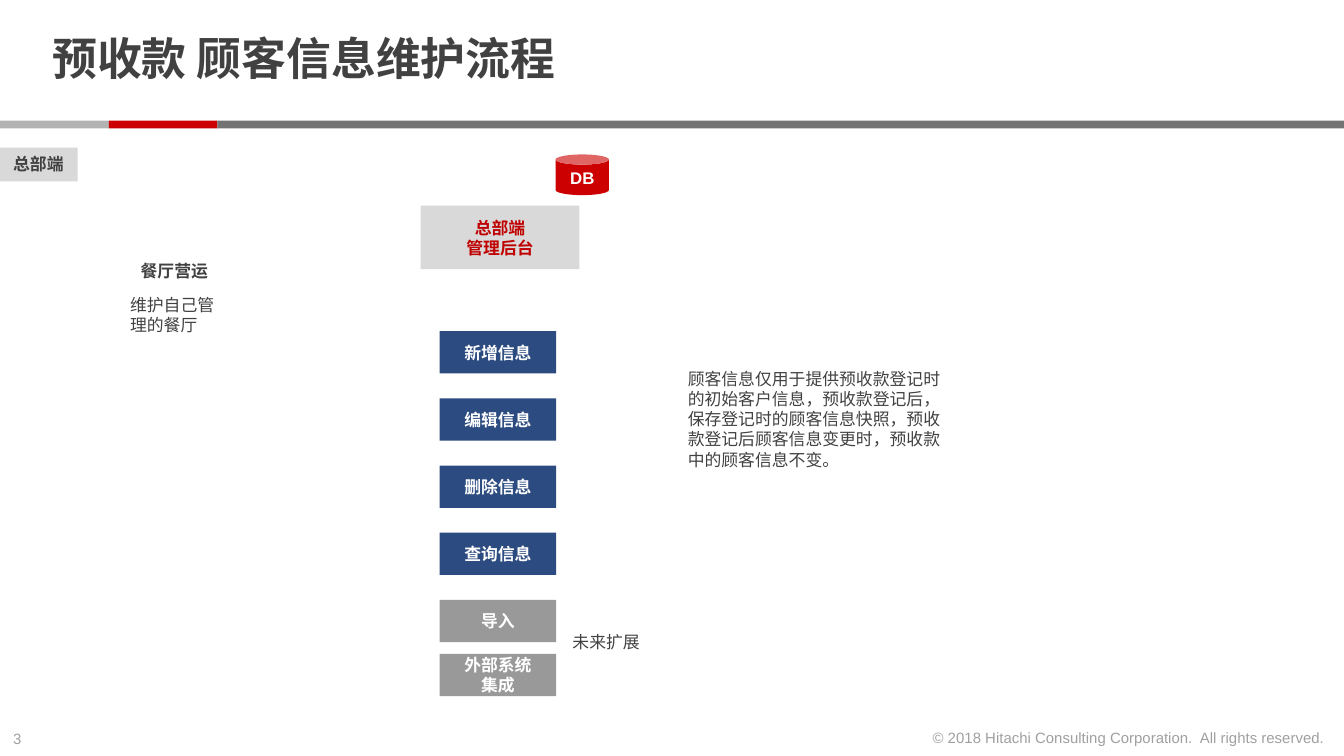
from lxml.etree import SubElement
from pptx import Presentation
from pptx.dml.color import RGBColor
from pptx.enum.shapes import MSO_SHAPE
from pptx.enum.text import MSO_ANCHOR, PP_ALIGN
from pptx.oxml.ns import qn
from pptx.util import Cm, Pt

COLORS = {
    "text": "414141", "white": "FFFFFF", "red": "CC0000", "dark red": "C00000",
    "blue": "2C4B80", "gray": "999999", "panel": "D9D9D9",
    "light bar": "B3B3B3", "dark bar": "737373",
}
CJK_FONT = "Noto Sans CJK SC"

TITLE = "预收款 顾客信息维护流程"
PAGE_NUMBER = "3"
COPYRIGHT = "© 2018 Hitachi Consulting Corporation.  All rights reserved."

# width, color
BAR_SEGMENTS = [(2.06, "light bar"), (2.05, "red"), (21.29, "dark bar")]

# text, box, bold, wrap
NOTES = [
    ("餐厅营运", (2.41, 4.8, 1.8, 0.64), True, False),
    ("维护自己管理的餐厅", (2.21, 5.45, 2.16, 1.02), False, True),
    ("顾客信息仅用于提供预收款登记时的初始客户信息，预收款登记后，"
     "保存登记时的顾客信息快照，预收款登记后顾客信息变更时，"
     "预收款中的顾客信息不变。", (12.75, 6.84, 5.44, 2.18), False, True),
    ("未来扩展", (10.57, 11.81, 1.88, 0.64), False, True),
]

# lines, color, distance from the previous button's top
BUTTONS = [
    (["新增信息"], "blue", 0),
    (["编辑信息"], "blue", 1.27),
    (["删除信息"], "blue", 1.27),
    (["查询信息"], "blue", 1.27),
    (["导入"], "gray", 1.27),
    (["外部系统", "集成"], "gray", 1.02),
]
BUTTON_LEFT, BUTTON_TOP, BUTTON_WIDTH, BUTTON_HEIGHT = 8.31, 6.26, 2.2, 0.8


def write(shape, lines, size=9, color="text", bold=False, font="Arial",
          align=PP_ALIGN.LEFT, anchor=MSO_ANCHOR.TOP, wrap=True, alpha=None):
    frame = shape.text_frame
    frame.word_wrap = wrap
    frame.vertical_anchor = anchor
    frame.text = "\n".join(lines)
    for paragraph in frame.paragraphs:
        paragraph.alignment = align
        paragraph.font.size = Pt(size)
        paragraph.font.bold = bold
        paragraph.font.name = font
        paragraph.font.color.rgb = RGBColor.from_string(COLORS[color])
        properties = paragraph._p.pPr.find(qn("a:defRPr"))
        SubElement(properties, qn("a:ea"), typeface=CJK_FONT)
        if alpha:
            rgb = properties.find(".//" + qn("a:srgbClr"))
            SubElement(rgb, qn("a:alpha"), val=str(alpha * 1000))
    return frame


def add_text(slide, box, lines, **style):
    return write(slide.shapes.add_textbox(*map(Cm, box)), lines, **style)


def add_filled(slide, box, color, kind=MSO_SHAPE.RECTANGLE):
    shape = slide.shapes.add_shape(kind, *map(Cm, box))
    shape.shadow.inherit = False
    shape.fill.solid()
    shape.fill.fore_color.rgb = RGBColor.from_string(COLORS[color])
    shape.line.fill.background()
    return shape


def main():
    presentation = Presentation()
    presentation.slide_width, presentation.slide_height = Cm(25.4), Cm(14.29)
    slide = presentation.slides.add_slide(presentation.slide_layouts[6])
    centered = {"align": PP_ALIGN.CENTER, "anchor": MSO_ANCHOR.MIDDLE, "bold": True}

    footer = {"size": 8, "alpha": 50, "wrap": False}
    add_text(slide, (0, 13.66, 0.86, 0.6), [PAGE_NUMBER], **footer)
    add_text(slide, (17.26, 13.65, 8.03, 0.6), [COPYRIGHT],
             align=PP_ALIGN.RIGHT, **footer)

    left = 0
    for width, color in BAR_SEGMENTS:
        add_filled(slide, (left, 2.28, width, 0.15), color)
        left += width

    title = add_text(slide, (0.74, 0.15, 19.58, 2.03), [TITLE], size=24,
                     bold=True, anchor=MSO_ANCHOR.MIDDLE)
    title.margin_top = title.margin_bottom = 0
    title.paragraphs[0].line_spacing = 0.85

    section = add_filled(slide, (0, 2.79, 1.47, 0.64), "panel")
    write(section, ["总部端"], bold=True, font=CJK_FONT, wrap=False)
    backend = add_filled(slide, (7.95, 3.89, 3, 1.2), "panel")
    write(backend, ["总部端", "管理后台"], color="dark red", font=CJK_FONT, **centered)
    database = add_filled(slide, (10.5, 2.92, 1.01, 0.77), "red", MSO_SHAPE.CAN)
    write(database, ["DB"], color="white", **centered)

    top = BUTTON_TOP
    for lines, color, step in BUTTONS:
        top += step
        button = add_filled(slide, (BUTTON_LEFT, top, BUTTON_WIDTH, BUTTON_HEIGHT), color)
        write(button, lines, color="white", font=CJK_FONT, **centered)

    for text, box, bold, wrap in NOTES:
        add_text(slide, box, [text], bold=bold, wrap=wrap)

    presentation.save("out.pptx")


if __name__ == "__main__":
    main()
